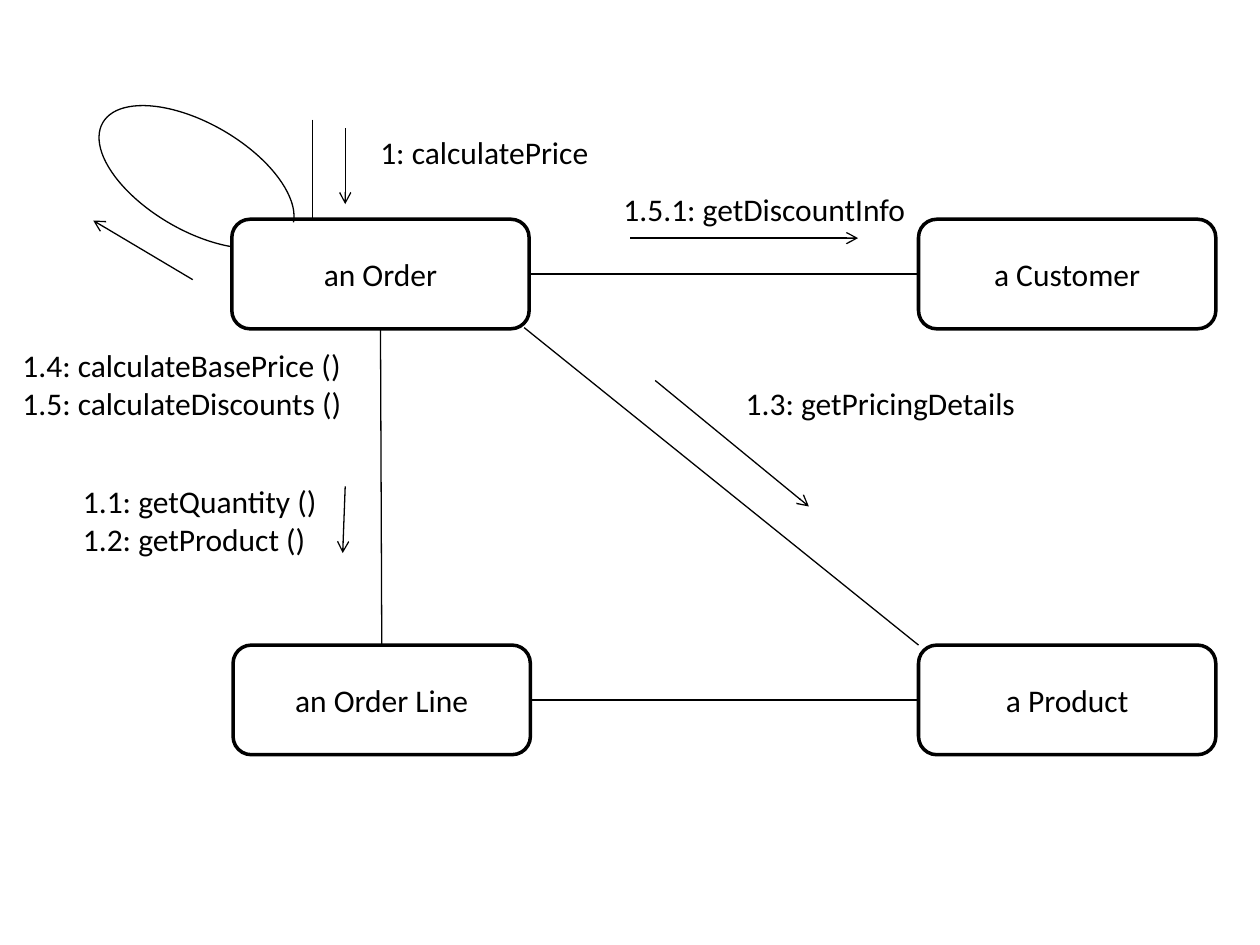
from lxml import etree
from pptx import Presentation
from pptx import util as u
from pptx.dml.color import RGBColor
from pptx.enum import shapes as sh, text as tx
from pptx.oxml.ns import qn

BLACK = RGBColor(0, 0, 0)
WHITE = RGBColor(255, 255, 255)
FONT = {"name": "Calibri", "size": u.Pt(18)}
BOX_W, BOX_H = 2.36, 0.87
TEXT_W, LINE_H, PAD = 2.83, 0.31, 0.09
TOP, LEFT, BOTTOM, RIGHT = range(4)

BOXES = {
    "an Order": (1.84, 1.74),
    "a Customer": (7.29, 1.74),
    "a Product": (7.29, 5.12),
    "an Order Line": (1.85, 5.12),
}
LINKS = [
    ("an Order", RIGHT, "a Customer", LEFT),
    ("an Order Line", RIGHT, "a Product", LEFT),
    ("an Order", BOTTOM, "an Order Line", TOP),
]
LINES = [
    (2.48, 0.95, 2.48, 1.74),
    (4.16, 2.6, 7.29, 5.12),
]
ARROWS = [
    (2.74, 3.86, 2.72, 4.39),
    (5.2, 3.02, 6.42, 4.02),
    (5, 1.89, 6.81, 1.89),
    (2.74, 1.02, 2.74, 1.62),
    (1.53, 2.22, 0.74, 1.75),
]
CALLS = [
    (2.92, 1.01, ["1: calculatePrice"]),
    (5.82, 3, ["1.3: getPricingDetails"]),
    (4.85, 1.46, ["1.5.1: getDiscountInfo"]),
    (0.56, 3.78, ["1.1: getQuantity ()", "1.2: getProduct ()"]),
    (0.08, 2.7, ["1.4: calculateBasePrice ()", "1.5: calculateDiscounts ()"]),
]
LOOP = (0.7, 0.98, 1.72, 0.85)


def inches(nums):
    return [u.Inches(n) for n in nums]


def style(font):
    for key, val in FONT.items():
        setattr(font, key, val)
    font.color.rgb = BLACK


def ink(line, width):
    line.color.rgb = BLACK
    line.width = u.Pt(width)


def add_box(slide, label, spot):
    box = slide.shapes.add_shape(
        sh.MSO_SHAPE.ROUNDED_RECTANGLE, *inches((*spot, BOX_W, BOX_H)))
    box.shadow.inherit = False
    box.fill.solid()
    box.fill.fore_color.rgb = WHITE
    ink(box.line, 2)
    frame = box.text_frame
    frame.text = label
    frame.vertical_anchor = tx.MSO_ANCHOR.MIDDLE
    para = frame.paragraphs[0]
    para.alignment = tx.PP_ALIGN.CENTER
    style(para.font)
    return box


def add_line(slide, ends, arrow=False):
    line = slide.shapes.add_connector(sh.MSO_CONNECTOR.STRAIGHT, *inches(ends))
    ink(line.line, 0.75)
    if arrow:
        tail = etree.SubElement(line.line._get_or_add_ln(), qn("a:tailEnd"))
        tail.set("type", "arrow")
    etree.SubElement(line._element.spPr, qn("a:effectLst"))
    return line


def add_call(slide, left, top, rows):
    size = (TEXT_W, len(rows) * LINE_H + PAD)
    frame = slide.shapes.add_textbox(*inches((left, top, *size))).text_frame
    frame.word_wrap = True
    frame.auto_size = tx.MSO_AUTO_SIZE.SHAPE_TO_FIT_TEXT
    frame.text = "\n".join(rows)
    for para in frame.paragraphs:
        style(para.font)


def add_loop(slide):
    loop = slide.shapes.add_shape(sh.MSO_SHAPE.ARC, *inches(LOOP))
    loop.shadow.inherit = False
    loop.rotation = 30.1
    loop.adjustments[0] = 19.92
    loop.adjustments[1] = 213
    loop.fill.background()
    ink(loop.line, 0.75)


def main():
    deck = Presentation()
    deck.slide_width, deck.slide_height = inches((10, 7.5))
    slide = deck.slides.add_slide(deck.slide_layouts[6])
    boxes = {label: add_box(slide, label, spot) for label, spot in BOXES.items()}
    for start, side, end, face in LINKS:
        link = add_line(slide, (*BOXES[start], *BOXES[end]))
        link.begin_connect(boxes[start], side)
        link.end_connect(boxes[end], face)
    for ends in LINES:
        add_line(slide, ends)
    for ends in ARROWS:
        add_line(slide, ends, arrow=True)
    add_loop(slide)
    for call in CALLS:
        add_call(slide, *call)
    deck.save("out.pptx")


if __name__ == "__main__":
    main()
